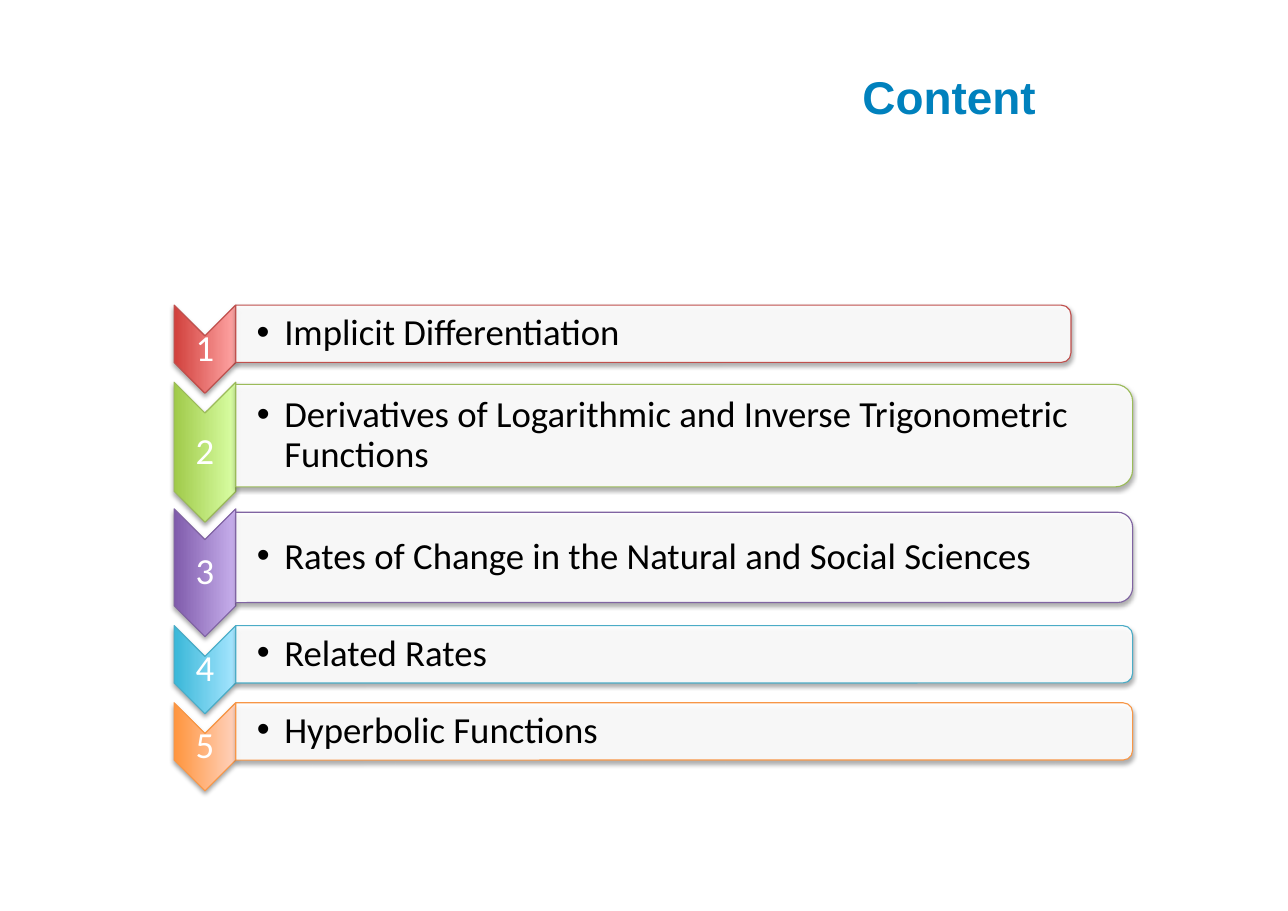
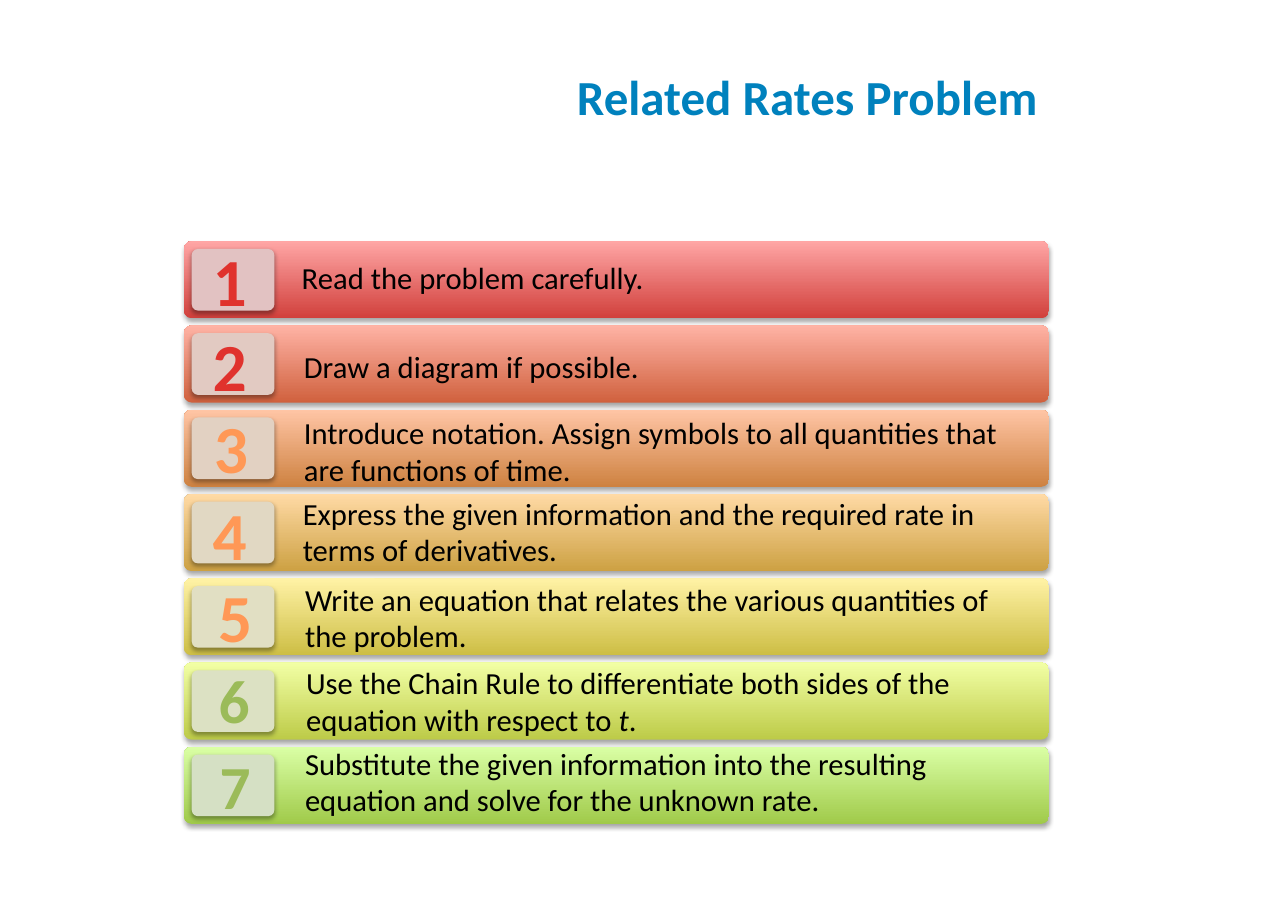
from typing import NamedTuple

from lxml.etree import SubElement
from pptx import Presentation
from pptx.dml.color import RGBColor
from pptx.enum.shapes import MSO_SHAPE as Kind
from pptx.enum.text import MSO_ANCHOR as Anchor, PP_ALIGN as Align
from pptx.oxml.ns import qn
from pptx.util import Inches, Pt

BLUE, WHITE, BLACK = "0081BD", "FFFFFF", "000000"
RED, ORANGE, GREEN = "E0322D", "FF9856", "9BBB59"


class Topic(NamedTuple):
    text: str
    top: float
    tall: float
    bar_top: float
    bar_tall: float
    wide: float
    dark: str
    light: str
    edge: str


class Step(NamedTuple):
    text: str
    left: float
    top: float
    wide: float
    dark: str
    light: str
    badge: str
    num_left: float
    num_top: float
    num_size: int
    ink: str


TOPICS = [
    Topic("Implicit Differentiation", 2.77, 0.8, 2.77, 0.52, 7.58,
          "D1403C", "FFA6A5", "C0504D"),
    Topic("Derivatives of Logarithmic and Inverse Trigonometric Functions",
          3.47, 1.27, 3.49, 0.93, 8.14, "A0CA4A", "DAFFA5", "9BBB59"),
    Topic("Rates of Change in the Natural and Social Sciences",
          4.62, 1.16, 4.65, 0.82, 8.14, "7F5BAB", "C8B0ED", "8064A2"),
    Topic("Related Rates", 5.68, 0.8, 5.68, 0.52, 8.14,
          "39B7D8", "A7E6FF", "4BACC6"),
    Topic("Hyperbolic Functions", 6.38, 0.8, 6.38, 0.52, 8.14,
          "FF953E", "FFD2BD", "F79646"),
]

# Asterisks enclose italic words.
STEPS = [
    Step("Read the problem carefully.", 2.64, 2.3, 6.58,
         "D1403C", "FFA6A5", "E2C2C2", 1.83, 2.12, 44, RED),
    Step("Draw a diagram if possible.", 2.66, 3.11, 6.75,
         "D0613E", "FFB3A5", "E2CAC2", 1.83, 2.89, 44, RED),
    Step("Introduce notation. Assign symbols to all quantities that are "
         "functions of time.", 2.66, 3.71, 6.59,
         "CE8241", "FFC5A5", "E2D1C2", 1.84, 3.64, 44, ORANGE),
    Step("Express the given information and the required rate in terms of "
         "derivatives.", 2.65, 4.44, 6.57,
         "CDA143", "FFDAA5", "E1D8C3", 1.83, 4.43, 44, ORANGE),
    Step("Write an equation that relates the various quantities of the "
         "problem.", 2.67, 5.22, 6.75,
         "CDBE45", "FFF2A5", "E1DFC3", 1.88, 5.17, 44, ORANGE),
    Step("Use the Chain Rule to differentiate both sides of the equation "
         "with respect to *t*.", 2.68, 5.98, 6.57,
         "BDCB48", "F2FFA5", "DCE1C3", 1.87, 5.96, 40, GREEN),
    Step("Substitute the given information into the resulting equation and "
         "solve for the unknown rate.", 2.67, 6.71, 6.72,
         "A0CA4A", "DAFFA5", "D5E0C4", 1.88, 6.74, 40, GREEN),
]


def color(code: str) -> RGBColor:
    return RGBColor.from_string(code)


def write(slide, text: str, left: float, top: float, wide: float, tall: float,
          *, size: int = 20, ink: str = BLACK, font: str = "Calibri",
          bold: bool = False, align=Align.LEFT, anchor=Anchor.TOP,
          wrap: bool = True, pads=(0.1, 0.05, 0.1, 0.05),
          space: float = 1.0, bullet: bool = False) -> None:
    """Add a text box; asterisks in the text switch italics on and off."""
    box = slide.shapes.add_textbox(
        Inches(left), Inches(top), Inches(wide), Inches(tall))
    frame = box.text_frame
    frame.word_wrap = wrap
    frame.vertical_anchor = anchor
    (frame.margin_left, frame.margin_top,
     frame.margin_right, frame.margin_bottom) = map(Inches, pads)
    para = frame.paragraphs[0]
    para.alignment = align
    para.line_spacing = space
    if bullet:
        props = para._p.get_or_add_pPr()
        props.set("marL", str(Inches(0.25)))
        props.set("indent", str(-Inches(0.25)))
        SubElement(props, qn("a:buFont"), typeface="Arial")
        SubElement(props, qn("a:buChar"), char="•")
    for i, part in enumerate(text.split("*")):
        run = para.add_run()
        run.text = part
        run.font.name, run.font.size = font, Pt(size)
        run.font.bold, run.font.italic = bold, i % 2 == 1
        run.font.color.rgb = color(ink)


def shade(shape) -> None:
    """Give the shape a soft shadow straight below it."""
    shape.shadow.inherit = False
    effects = shape.element.spPr.find(qn("a:effectLst"))
    shadow = SubElement(effects, qn("a:outerShdw"), blurRad=str(Pt(3.1)),
                        dist=str(Pt(1.8)), dir="5400000", rotWithShape="0")
    tint = SubElement(shadow, qn("a:srgbClr"), val=BLACK)
    SubElement(tint, qn("a:alpha"), val="35000")


def draw(slide, kind, left: float, top: float, wide: float, tall: float, *,
         fill: tuple, edge: str = "", turn: bool = False,
         adjust: float = 0, alpha: int = 100) -> None:
    """Add a shape that covers the given area, also after a quarter turn."""
    if turn:
        left, top = left + (wide - tall) / 2, top + (tall - wide) / 2
        wide, tall = tall, wide
    shape = slide.shapes.add_shape(
        kind, Inches(left), Inches(top), Inches(wide), Inches(tall))
    shape.rotation = 90 if turn else 0
    if adjust:
        shape.adjustments[0] = adjust
    if len(fill) == 1:
        shape.fill.solid()
        shape.fill.fore_color.rgb = color(fill[0])
        if alpha < 100:
            tint = shape.element.spPr.find(qn("a:solidFill"))[0]
            SubElement(tint, qn("a:alpha"), val=str(alpha * 1000))
    else:
        shape.fill.gradient()
        shape.fill.gradient_angle = 90
        for stop, code, place in zip(shape.fill.gradient_stops, fill, (0, 1)):
            stop.color.rgb = color(code)
            stop.position = place
    if edge:
        shape.line.color.rgb = color(edge)
        shape.line.width = Pt(0.75)
    else:
        shape.line.fill.background()
    shade(shape)


def start(deck, title: str, left: float, **style):
    """Add a blank slide with its title."""
    slide = deck.slides.add_slide(deck.slide_layouts[6])
    write(slide, title, left, 0.25, 9, 1.25, ink=BLUE, bold=True,
          align=Align.RIGHT, anchor=Anchor.MIDDLE, **style)
    return slide


def content(deck) -> None:
    slide = start(deck, "Content", 0.5, size=30, font="Arial")
    left, wide = 1.58, 0.56
    notch = wide / 2
    edge = left + wide
    pad = 0.02
    style = dict(size=24, anchor=Anchor.MIDDLE, space=0.9)
    for num, row in enumerate(TOPICS, 1):
        draw(slide, Kind.CHEVRON, left, row.top, wide, row.tall,
             fill=(row.dark, row.light), edge=row.edge, turn=True)
        write(slide, str(num), left, row.top + notch, wide,
              row.tall - 2 * notch, ink=WHITE, align=Align.CENTER,
              pads=(pad,) * 4, **style)
        draw(slide, Kind.ROUND_2_SAME_RECTANGLE, edge, row.bar_top, row.wide,
             row.bar_tall, fill=(WHITE,), edge=row.edge, turn=True, alpha=90)
        write(slide, row.text, edge, row.bar_top, row.wide - pad,
              row.bar_tall, bullet=True, pads=(0.19, pad, pad, pad), **style)


def steps(deck) -> None:
    slide = start(deck, "Related Rates Problem", 0.52, size=32)
    left, tall, gap = 1.67, 0.7, 0.07
    for i, row in enumerate(STEPS):
        top = 2.19 + i * 0.765
        draw(slide, Kind.ROUNDED_RECTANGLE, left, top, 7.85, tall,
             fill=(row.dark, row.light), adjust=0.1)
        draw(slide, Kind.ROUNDED_RECTANGLE, left + gap, top + gap, 0.75,
             tall - 2 * gap, fill=(row.badge,), adjust=0.1)
        write(slide, row.text, row.left, row.top, row.wide, 0.77)
        write(slide, str(i + 1), row.num_left, row.num_top, 0.51, 0.84,
              size=row.num_size, ink=row.ink, bold=True,
              align=Align.CENTER, wrap=False)


def main() -> None:
    deck = Presentation()
    deck.slide_width, deck.slide_height = Inches(11.69), Inches(8.27)
    content(deck)
    steps(deck)
    deck.save("out.pptx")


if __name__ == "__main__":
    main()
